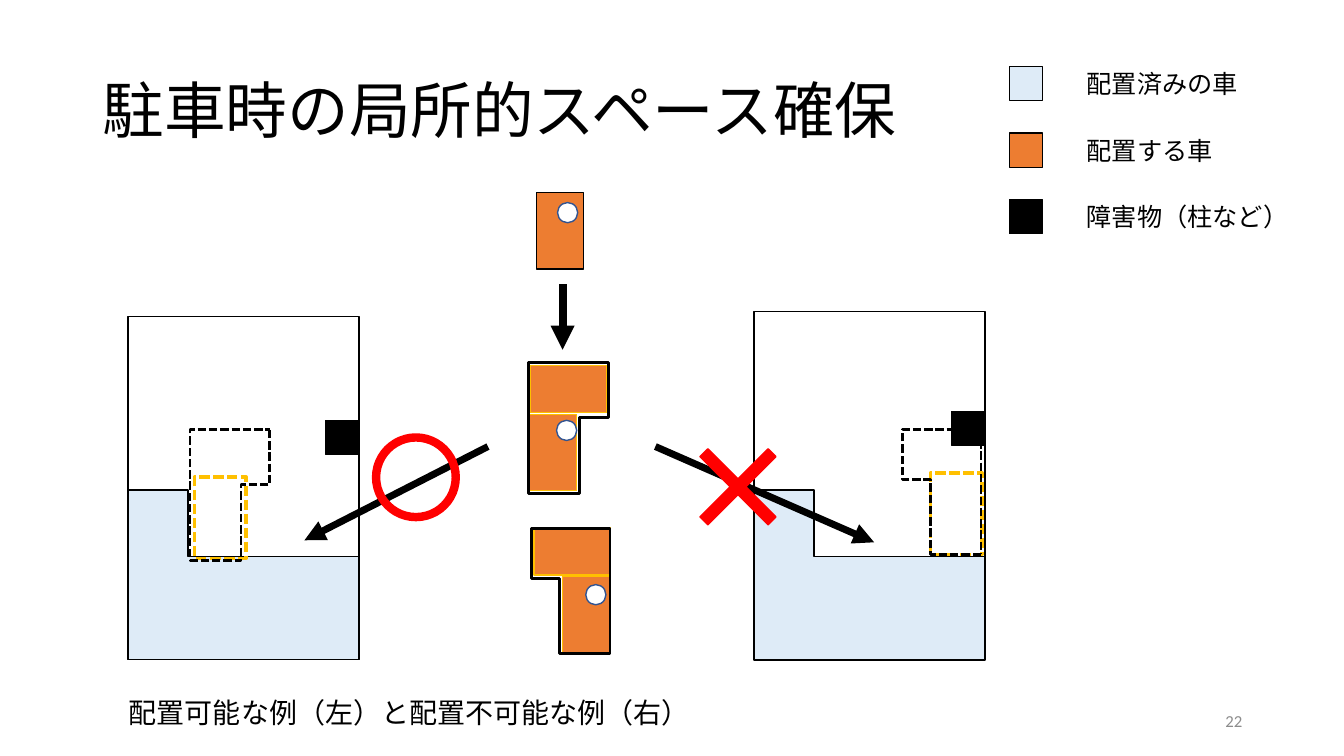
import pptx
import pptx.dml.color
import pptx.enum.dml
import pptx.enum.shapes
import pptx.enum.text
import pptx.oxml.ns
import pptx.util
from lxml import etree

Inches, Pt = pptx.util.Inches, pptx.util.Pt
SHAPE = pptx.enum.shapes.MSO_SHAPE
ALIGN = pptx.enum.text.PP_ALIGN
ANCHOR = pptx.enum.text.MSO_ANCHOR

COLORS = {
    "black": "000000",
    "white": "FFFFFF",
    "parked": "DEEBF7",
    "car": "ED7D31",
    "yellow": "FFC000",
    "red": "FF0000",
    "marker": "325491",
    "gray": "8C8C8C",
}
CAR_SIZE = (0.47, 0.76)
PILLAR_SIZE = (0.33, 0.34)
# Space a car needs when turning: (size, rotation, corner adjustments)
TURN_RIGHT = ((1.3, 0.79), 90, (0.639, 0.691))
TURN_LEFT = ((0.78, 1.24), 180, (0.639, 0.638))


def rgb(name):
    return pptx.dml.color.RGBColor.from_string(COLORS[name])


def write_text(tf, text, size=18, color="black", font="Calibri", align=ALIGN.LEFT,
               line_spacing=None, space_before=0):
    p = tf.paragraphs[0]
    p.alignment = align
    p.line_spacing = line_spacing
    p.space_before = Pt(space_before)
    r = p.add_run()
    r.text = text
    r.font.size = Pt(size)
    r.font.name = font
    r.font.color.rgb = rgb(color)


class ParkingSlide:
    def __init__(self, prs):
        self.s = prs.slides.add_slide(prs.slide_layouts[6])

    def text(self, text, at, wrap=True, anchor=ANCHOR.TOP, **style):
        tf = self.s.shapes.add_textbox(*map(Inches, at)).text_frame
        tf.word_wrap = wrap
        tf.vertical_anchor = anchor
        write_text(tf, text, **style)

    def shape(self, kind, pos, size, fill=None, line="black", width=1,
              dashed=False, rotation=0, adjust=()):
        sp = self.s.shapes.add_shape(kind, *map(Inches, (*pos, *size)))
        sp.shadow.inherit = False
        sp.rotation = rotation
        for i, value in enumerate(adjust):
            sp.adjustments[i] = value
        if fill:
            sp.fill.solid()
            sp.fill.fore_color.rgb = rgb(fill)
        else:
            sp.fill.background()
        sp.line.color.rgb = rgb(line)
        sp.line.width = Pt(width)
        if dashed:
            sp.line.dash_style = pptx.enum.dml.MSO_LINE.SQUARE_DOT

    def arrow(self, start, end, width=5):
        c = self.s.shapes.add_connector(
            pptx.enum.shapes.MSO_CONNECTOR.STRAIGHT, *map(Inches, (*start, *end)))
        c.line.color.rgb = rgb("black")
        c.line.width = Pt(width)
        qn = pptx.oxml.ns.qn
        spPr = c.element.spPr
        etree.SubElement(spPr.find(qn("a:ln")), qn("a:tailEnd"), type="triangle")
        etree.SubElement(spPr, qn("a:effectLst"))

    def car(self, pos, line="yellow", rotation=0):
        self.shape(SHAPE.RECTANGLE, pos, CAR_SIZE, "car", line, rotation=rotation)

    def marker(self, pos):
        self.shape(SHAPE.OVAL, pos, (0.2, 0.2), "white", "marker")

    def turn_space(self, pos, turn, dashed=False):
        size, rotation, adjust = turn
        self.shape(SHAPE.CORNER, pos, size, width=2, dashed=dashed,
                   rotation=rotation, adjust=adjust)

    def turning_car(self, upright, sideways, marker, space, turn):
        """Car in both directions, with the outline of the space it sweeps."""
        self.car(upright)
        self.car(sideways, rotation=90)
        self.turn_space(space, turn)
        self.marker(marker)

    def lot(self, left, top, height, pillar, target, space, turn):
        """Parking lot with parked cars, a pillar and the space being tested."""
        self.shape(SHAPE.RECTANGLE, (left, top), (2.29, height), "white")
        self.shape(SHAPE.CORNER, (left, 4.86), (2.29, 1.68), "parked",
                   adjust=(0.606, 0.353))
        self.shape(SHAPE.RECTANGLE, target, (0.51, 0.81), line="yellow",
                   width=2.5, dashed=True)
        self.shape(SHAPE.RECTANGLE, pillar, PILLAR_SIZE, "black")
        self.turn_space(space, turn, dashed=True)

    def legend(self, entries, top=0.66, step=0.66):
        for i, (fill, label, width) in enumerate(entries):
            y = top + i * step
            self.shape(SHAPE.RECTANGLE, (10.01, y), PILLAR_SIZE, fill)
            self.text(label, (10.68, y - 0.03, width, 0.4), wrap=False)


def main():
    prs = pptx.Presentation()
    prs.slide_width, prs.slide_height = Inches(13.33), Inches(7.5)
    slide = ParkingSlide(prs)

    slide.text("駐車時の局所的スペース確保", (0.92, 0.4, 11.5, 1.45),
               anchor=ANCHOR.MIDDLE, size=44, line_spacing=0.9)
    slide.legend([("parked", "配置済みの車", 1.72),
                  ("car", "配置する車", 1.46),
                  ("black", "障害物（柱など）", 2.22)])

    slide.lot(1.27, 3.14, 3.4, pillar=(3.23, 4.17), target=(1.93, 4.73),
              space=(1.63, 4.52), turn=TURN_RIGHT)
    slide.lot(7.48, 3.09, 3.46, pillar=(9.44, 4.08), target=(9.23, 4.69),
              space=(8.95, 4.26), turn=TURN_LEFT)

    slide.car((5.32, 1.91), line="black")
    slide.marker((5.53, 2.01))
    slide.arrow((5.58, 2.82), (5.58, 3.47), width=5.75)
    slide.turning_car(upright=(5.25, 4.11), sideways=(5.4, 3.48), marker=(5.52, 4.17),
                      space=(4.99, 3.85), turn=TURN_RIGHT)
    slide.turning_car(upright=(5.58, 5.72), sideways=(5.44, 5.09), marker=(5.81, 5.8),
                      space=(5.27, 5.24), turn=TURN_LEFT)

    slide.arrow((4.84, 4.43), (3.02, 5.36))
    slide.arrow((6.5, 4.43), (8.67, 5.38))
    slide.shape(SHAPE.OVAL, (3.73, 4.34), (0.79, 0.79), line="red", width=6)
    slide.shape(SHAPE.MATH_MULTIPLY, (6.67, 4.18), (1.3, 1.3), "red", "red",
                adjust=(0.085,))

    slide.text("配置可能な例（左）と配置不可能な例（右）", (1.18, 6.89, 11.5, 0.49),
               size=20, line_spacing=0.9, space_before=10)
    slide.text("22", (9.42, 6.95, 3, 0.4), anchor=ANCHOR.MIDDLE, size=12,
               color="gray", align=ALIGN.RIGHT)
    prs.save("out.pptx")


if __name__ == "__main__":
    main()
